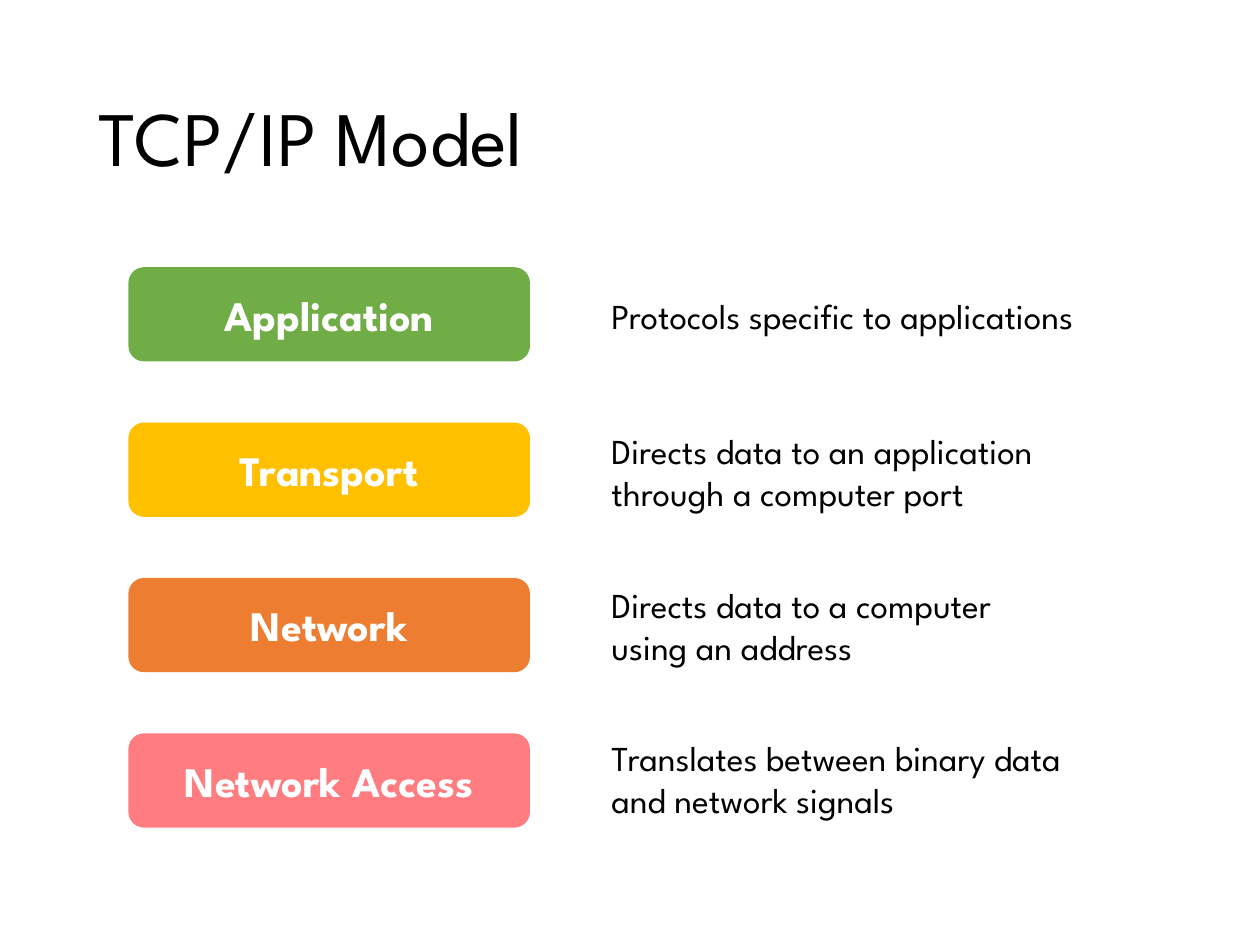
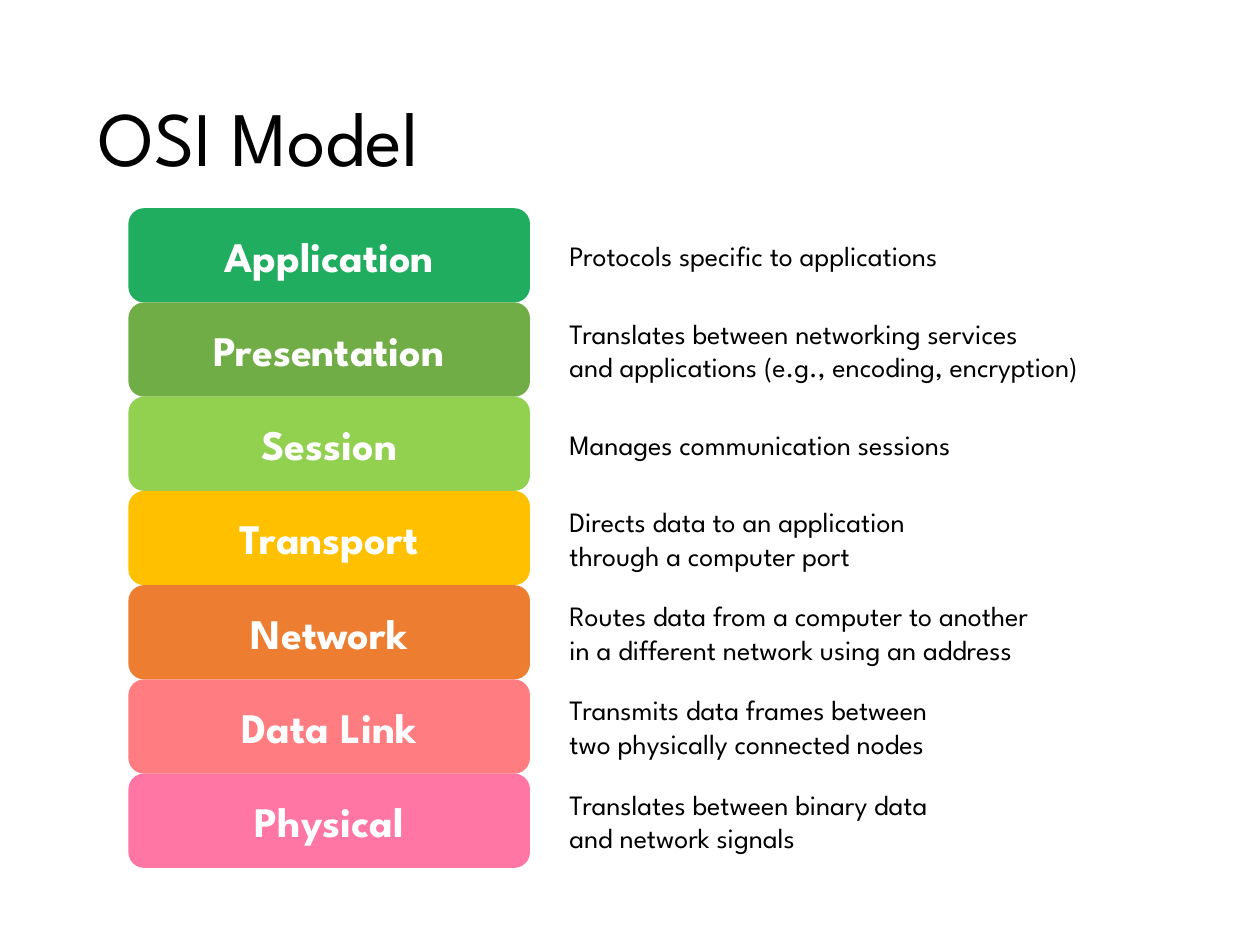
from pptx import Presentation, util as u
from pptx.dml.color import RGBColor
from pptx.enum import shapes, text

Pt = u.Pt
GREEN, YELLOW, ORANGE, CORAL = "70AD47", "FFC000", "ED7D31", "FF7C80"
EMERALD, LIME, PINK = "21AD60", "92D050", "FF75A3"

TCP_IP_LAYERS = [
    ("Application", GREEN, "Protocols specific to applications"),
    ("Transport", YELLOW, "Directs data to an application\nthrough a computer port"),
    ("Network", ORANGE, "Directs data to a computer\nusing an address"),
    ("Network Access", CORAL, "Translates between binary data\nand network signals"),
]
OSI_LAYERS = [
    ("Application", EMERALD, "Protocols specific to applications"),
    ("Presentation", GREEN,
     "Translates between networking services\nand applications (e.g., encoding, encryption)"),
    ("Session", LIME, "Manages communication sessions"),
    ("Transport", YELLOW, "Directs data to an application\nthrough a computer port"),
    ("Network", ORANGE,
     "Routes data from a computer to another\nin a different network using an address"),
    ("Data Link", CORAL, "Transmits data frames between\ntwo physically connected nodes"),
    ("Physical", PINK, "Translates between binary data\nand network signals"),
]


def color(value):
    """Turn a hex string into a colour."""
    return RGBColor.from_string(value)


def write(box, content, *, size, ink="000000", bold=False,
          align=text.PP_ALIGN.LEFT, spacing=None):
    """Write one paragraph per line of content, centred vertically."""
    frame = box.text_frame
    frame.word_wrap = True
    frame.vertical_anchor = text.MSO_ANCHOR.MIDDLE
    for index, line in enumerate(content.split("\n")):
        para = frame.add_paragraph() if index else frame.paragraphs[0]
        para.alignment = align
        para.line_spacing = spacing
        span = para.add_run()
        span.text = line
        span.font.name = DeckBuilder.FONT
        span.font.size = Pt(size)
        span.font.bold = bold
        span.font.color.rgb = color(ink)


class DeckBuilder:
    """Hold the shared style and the current slide."""

    FONT = "League Spartan"
    BAR_LEFT, BAR_WIDTH, BAR_HEIGHT = 73.4, 229.5, 53.85

    def __init__(self):
        """Start a deck of 10 by 7.5 inches."""
        self.deck = Presentation()
        self.deck.slide_width, self.deck.slide_height = Pt(720), Pt(540)
        self.page = None

    def add_page(self, title):
        """Open a blank slide and give it a title."""
        self.page = self.deck.slides.add_slide(self.deck.slide_layouts[6])
        box = self.page.shapes.add_textbox(Pt(49.5), Pt(28.75), Pt(621), Pt(104.4))
        write(box, title, size=44, spacing=0.9)

    def add_bar(self, name, fill, top):
        """Draw the rounded bar of one layer."""
        bar = self.page.shapes.add_shape(
            shapes.MSO_SHAPE.ROUNDED_RECTANGLE,
            Pt(self.BAR_LEFT), Pt(top), Pt(self.BAR_WIDTH), Pt(self.BAR_HEIGHT))
        bar.shadow.inherit = False
        bar.fill.solid()
        bar.fill.fore_color.rgb = color(fill)
        bar.line.fill.background()
        write(bar, name, size=24, ink="FFFFFF", bold=True, align=text.PP_ALIGN.CENTER)

    def add_note(self, content, left, middle, width, size):
        """Place a description around its middle height."""
        height = 1.2 * size * len(content.split("\n")) + 7.2
        box = self.page.shapes.add_textbox(
            Pt(left), Pt(middle - height / 2), Pt(width), Pt(height))
        write(box, content, size=size)

    def add_stack(self, layers, *, top, pitch, note_left, note_width, note_size,
                  note_middles=None):
        """Stack the layers, with notes level with the bars unless told otherwise."""
        for index, (name, fill, note) in enumerate(layers):
            bar_top = top + index * pitch
            middle = note_middles[index] if note_middles else bar_top + self.BAR_HEIGHT / 2
            self.add_bar(name, fill, bar_top)
            self.add_note(note, note_left, middle, note_width, note_size)


def main():
    """Build both network model slides."""
    builder = DeckBuilder()
    builder.add_page("TCP/IP Model")
    builder.add_stack(TCP_IP_LAYERS, top=152.7, pitch=88.8, note_left=342.3,
                      note_width=342, note_size=20,
                      note_middles=(180, 269.6, 357.3, 444.6))
    builder.add_page("OSI Model")
    builder.add_stack(OSI_LAYERS, top=119, pitch=builder.BAR_HEIGHT, note_left=318.3,
                      note_width=372, note_size=16)
    builder.deck.save("out.pptx")


if __name__ == "__main__":
    main()
